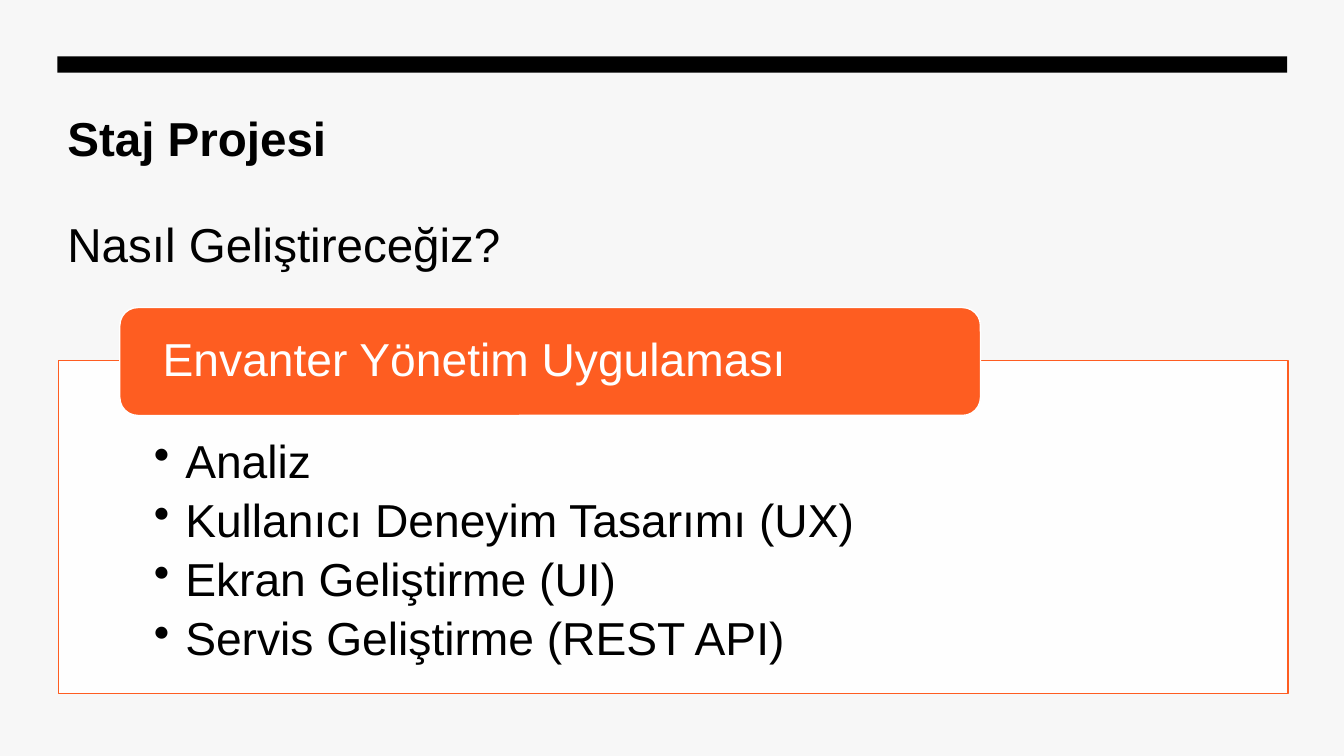
import pptx
import pptx.util
import pptx.dml.color
import pptx.enum.shapes
import pptx.enum.text
import pptx.oxml
import pptx.oxml.ns
from pptx.util import Cm, Pt

HUES = {"back": "F7F7F7", "ink": "000000", "white": "FFFFFF", "orange": "FE5D21"}
STEPS = [
    "Analiz",
    "Kullanıcı Deneyim Tasarımı (UX)",
    "Ekran Geliştirme (UI)",
    "Servis Geliştirme (REST API)",
]
KINDS = pptx.enum.shapes.MSO_SHAPE
ANCHOR = pptx.enum.text.MSO_ANCHOR


def paint(fill, hue):
    fill.solid()
    fill.fore_color.rgb = pptx.dml.color.RGBColor.from_string(HUES[hue])


def write(shape, lines, size, hue, insets, anchor, after=0):
    """Fill a shape with left-aligned lines; insets run left, top, right, bottom in cm."""
    frame = shape.text_frame
    frame.text = "\n".join(lines)
    frame.word_wrap = True
    frame.vertical_anchor = anchor
    frame.margin_left, frame.margin_top, frame.margin_right, frame.margin_bottom = map(Cm, insets)
    for para in frame.paragraphs:
        para.alignment = pptx.enum.text.PP_ALIGN.LEFT
        para.line_spacing = 0.9
        para.space_after = Pt(after)
        for run in para.runs:
            run.font.name = "Arial"
            run.font.size = Pt(size)
            paint(run.font.fill, hue)
    return frame.paragraphs


deck = pptx.Presentation()
deck.slide_width, deck.slide_height = Cm(33.87), Cm(19.05)
slide = deck.slides.add_slide(deck.slide_layouts[6])
paint(slide.background.fill, "back")

# Heading
title = slide.shapes.add_textbox(Cm(1.45), Cm(2.72), Cm(30.99), Cm(4.55))
heads = write(title, ["Staj Projesi", "Nasıl Geliştireceğiz?"], 34, "ink",
              (0.25, 0.2, 0.25, 0.13), ANCHOR.TOP, after=38.4)
heads[0].runs[0].font.bold = True

# Top bar, panel and label: kind, left, top, width, height, fill, line
parts = [
    (KINDS.RECTANGLE, 1.45, 1.42, 30.99, 0.41, "ink", None),
    (KINDS.RECTANGLE, 1.47, 9.09, 30.99, 8.38, "white", "orange"),
    (KINDS.ROUNDED_RECTANGLE, 3.02, 7.75, 21.69, 2.72, "orange", "white"),
]
shapes = []
for kind, left, top, width, height, fill, line in parts:
    shape = slide.shapes.add_shape(kind, Cm(left), Cm(top), Cm(width), Cm(height))
    shape.shadow.inherit = False
    paint(shape.fill, fill)
    if line:
        paint(shape.line.fill, line)
        shape.line.width = Pt(1)
    else:
        shape.line.fill.background()
    shapes.append(shape)
bar, panel, label = shapes

# Panel is 90% opaque
tint = panel.fill._xPr.find(".//" + pptx.oxml.ns.qn("a:srgbClr"))
tint.append(pptx.oxml.parse_xml(
    f'<a:alpha {pptx.oxml.ns.nsdecls("a")} val="90000"/>'))

# Texts
for para in write(panel, STEPS, 33, "ink", (2.41, 1.96, 2.41, 0.66), ANCHOR.TOP, after=6.6):
    props = para._p.get_or_add_pPr()
    props.set("marL", str(Cm(0.79)))
    props.set("indent", str(-Cm(0.79)))
    props.append(pptx.oxml.parse_xml(
        f'<a:buChar {pptx.oxml.ns.nsdecls("a")} char="•"/>'))
write(label, ["Envanter Yönetim Uygulaması"], 33, "white", (0.95, 0, 0.95, 0), ANCHOR.MIDDLE)

deck.save("out.pptx")
